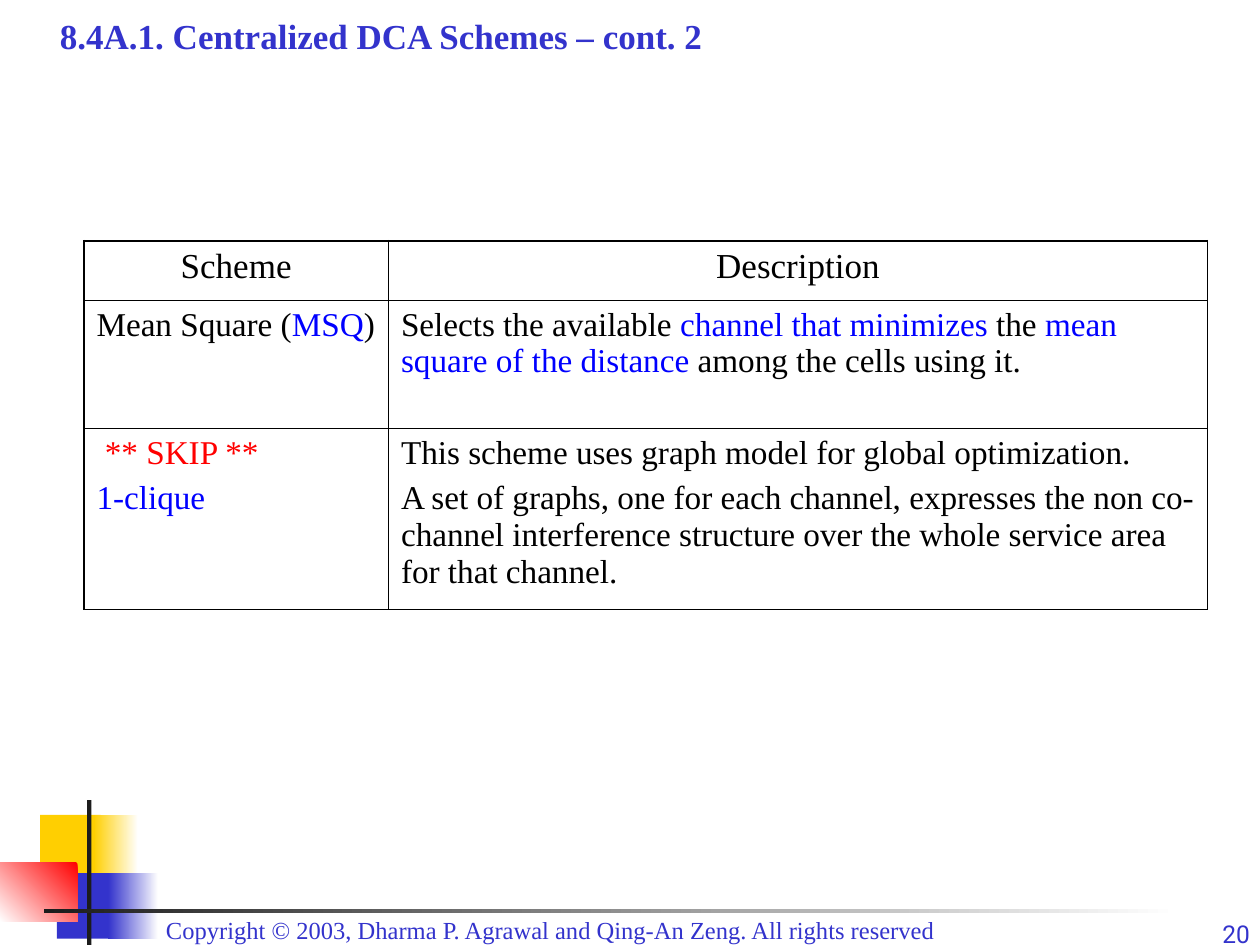
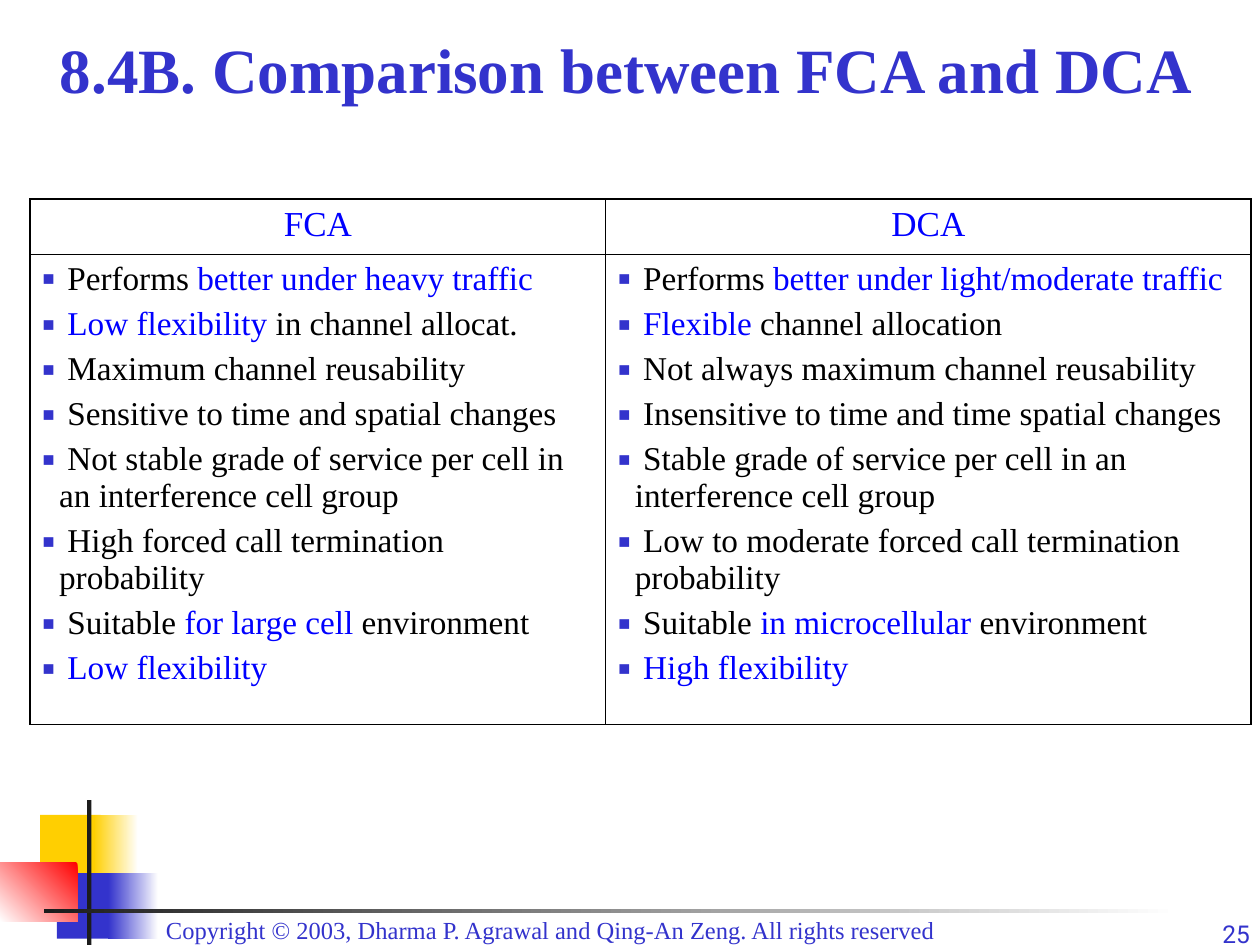
from lxml.etree import SubElement
from pptx import Presentation
from pptx.dml.color import RGBColor
from pptx.enum.shapes import MSO_SHAPE
from pptx.enum.text import MSO_ANCHOR, MSO_AUTO_SIZE, PP_ALIGN
from pptx.oxml.ns import qn
from pptx.util import Pt

# Shared look
SERIF, SANS = "Times New Roman", "Roboto"
BLACK, WHITE, INK = "000000", "FFFFFF", "1C1C1C"
INDIGO, BLUE, RED, YELLOW = "3333CC", "0000FF", "FF0000", "FFCF01"
OUTER, INNER = 1.08, 0.45
INSETS = dict(margin_left=Pt(7.2), margin_right=Pt(7.2),
              margin_top=Pt(3.6), margin_bottom=Pt(3.6))
COPYRIGHT = ("Copyright © 2003, Dharma P. Agrawal and Qing-An Zeng. "
             "All rights reserved")


def colour(hex_value):
    return RGBColor.from_string(hex_value)


def apply(target, values):
    for name, value in values.items():
        setattr(target, name, value)


def place(shape, left, top, width, height):
    apply(shape, dict(left=Pt(left), top=Pt(top), width=Pt(width), height=Pt(height)))


def write_run(paragraph, text, size, hex_value, face=SERIF, bold=False):
    run = paragraph.add_run()
    run.text = text
    apply(run.font, dict(size=Pt(size), name=face, bold=bold))
    run.font.color.rgb = colour(hex_value)


# Corner blocks and the crossed bars
def block(slide, box, start, end=None, angle=180):
    left, top, width, height = map(Pt, box)
    tile = slide.shapes.add_shape(MSO_SHAPE.RECTANGLE, left, top, width, height)
    tile.shadow.inherit = False
    tile.line.fill.background()
    if end is None:
        tile.fill.solid()
        tile.fill.fore_color.rgb = colour(start)
        return
    tile.fill.gradient()
    tile.fill.gradient_angle = angle
    for stop, hex_value, position in zip(tile.fill.gradient_stops, (start, end), (0, 1)):
        stop.color.rgb = colour(hex_value)
        stop.position = position


def corner(slide, left, top):
    parts = [
        ((23, 8.5, 34.5, 37.5), YELLOW),
        ((53.5, 8.5, 25.5, 37.5), WHITE, YELLOW),
        ((32.5, 41.7, 33, 37.5), INDIGO),
        ((62, 41.7, 28.5, 37.5), WHITE, INDIGO),
        ((0, 35.7, 44.3, 33.7), RED, WHITE, 225),
        ((49.8, 0, 2.5, 82.8), INK),
        ((25.2, 62.2, 648, 2.2), WHITE, INK),
    ]
    for (x, y, width, height), *fill in parts:
        block(slide, (left + x, top + y, width, height), *fill)


# Footer line
def footer_text(slide, box, text, face, align, insets):
    note = slide.shapes.add_textbox(*map(Pt, box))
    apply(note.text_frame, {**INSETS, **insets, "word_wrap": True})
    paragraph = note.text_frame.paragraphs[0]
    paragraph.alignment = align
    write_run(paragraph, text, 14, INDIGO, face)


def footer(slide, left, top, number):
    footer_text(slide, (left, top, 546, 24.5), COPYRIGHT, SERIF, PP_ALIGN.LEFT, {})
    footer_text(slide, (left + 576, top + 5.8, 57.6, 19.4), number, SANS,
                PP_ALIGN.RIGHT, dict(margin_top=0, margin_bottom=0))


def heading(slide, box, text, size, align):
    title = slide.shapes.title
    place(title, *box)
    apply(title.text_frame, dict(INSETS, word_wrap=True, auto_size=MSO_AUTO_SIZE.NONE,
                                 vertical_anchor=MSO_ANCHOR.BOTTOM))
    paragraph = title.text_frame.paragraphs[0]
    paragraph.alignment = align
    write_run(paragraph, text, size, INDIGO, bold=True)


# Table parts
def add_bullet(paragraph):
    props = paragraph._p.get_or_add_pPr()
    props.set("marL", str(Pt(9.4)))
    props.set("indent", str(-Pt(9.4)))
    SubElement(SubElement(props, qn("a:buClr")), qn("a:srgbClr"), val=INDIGO)
    SubElement(props, qn("a:buSzPct"), val="60000")
    SubElement(props, qn("a:buFont"), typeface=SERIF)
    SubElement(props, qn("a:buChar"), char="■")


def add_borders(cell, outer_sides):
    props = cell._tc.get_or_add_tcPr()
    for side in "LRTB":
        width = OUTER if side in outer_sides else INNER
        line = SubElement(props, qn("a:ln" + side), w=str(Pt(width)))
        SubElement(SubElement(line, qn("a:solidFill")), qn("a:srgbClr"), val=BLACK)


def fill_cell(cell, paragraphs, is_header, bulleted):
    apply(cell, INSETS)
    for index, runs in enumerate(paragraphs):
        frame = cell.text_frame
        paragraph = frame.add_paragraph() if index else frame.paragraphs[0]
        if index:
            paragraph.space_before = Pt(4.8)
        paragraph.alignment = PP_ALIGN.CENTER if is_header else PP_ALIGN.LEFT
        if bulleted and not is_header:
            add_bullet(paragraph)
            runs = [" ", *runs]
        for run in runs:
            text, hex_value = (run, BLACK) if isinstance(run, str) else run
            write_run(paragraph, text, 20 if is_header else 19, hex_value)


def scheme_table(slide, left, top, widths, heights, rows, bulleted=False):
    frame = slide.shapes.add_table(len(heights), len(widths), Pt(left), Pt(top),
                                   Pt(sum(widths)), Pt(sum(heights)))
    table = frame.table
    apply(table, dict(first_row=False, horz_banding=False))
    for column, width in zip(table.columns, widths):
        column.width = Pt(width)
    for row, height in zip(table.rows, heights):
        row.height = Pt(height)
    for r, row in enumerate(rows):
        for c, paragraphs in enumerate(row):
            cell = table.cell(r, c)
            edges = {"T": r == 0, "B": r == len(rows) - 1,
                     "L": c == 0, "R": c == len(row) - 1}
            add_borders(cell, [side for side, outer in edges.items() if outer])
            cell.fill.background()
            fill_cell(cell, paragraphs, r == 0, bulleted)


def new_slide(deck, number):
    slide = deck.slides.add_slide(deck.slide_layouts[5])
    slide.background.fill.solid()
    slide.background.fill.fore_color.rgb = colour(WHITE)
    corner(slide, 0, 457.2)
    footer(slide, 87.8, 519.1, number)
    return slide


# Content: a cell is a list of paragraphs, a paragraph a list of runs
CENTRALIZED = [
    [[["Scheme"]], [["Description"]]],
    [[["Mean Square (", ("MSQ", BLUE), ")"]],
     [["Selects the available ", ("channel that minimizes", BLUE), " the ",
       ("mean square of the distance", BLUE), " among the cells using it."]]],
    [[[(" ** SKIP **", RED)], [("1-clique", BLUE)]],
     [["This scheme uses graph model for global optimization."],
      ["A set of graphs, one for each channel, expresses the non co-channel "
       "interference structure over the whole service area for that channel."]]],
]
COMPARISON = [
    [[[("FCA", BLUE)]], [[("DCA", BLUE)]]],
    [[["Performs ", ("better under heavy traffic", BLUE)],
      [("Low flexibility", BLUE), " in channel allocat."],
      ["Maximum channel reusability"],
      ["Sensitive to time and spatial changes"],
      ["Not stable grade of service per cell in an interference cell group"],
      ["High forced call termination probability"],
      ["Suitable ", ("for large cell", BLUE), " environment"],
      [("Low flexibility", BLUE)]],
     [["Performs ", ("better under light/moderate traffic", BLUE)],
      [("Flexible", BLUE), " channel allocation"],
      ["Not always maximum channel reusability"],
      ["Insensitive to time and time spatial changes"],
      ["Stable grade of service per cell in an interference cell group"],
      ["Low to moderate forced call termination probability"],
      ["Suitable ", ("in microcellular", BLUE), " environment"],
      [("High flexibility", BLUE)]]],
]


def main():
    deck = Presentation()
    apply(deck, dict(slide_width=Pt(720), slide_height=Pt(540)))

    centralized = new_slide(deck, "20")
    heading(centralized, (27, 7, 639, 29), "8.4A.1. Centralized DCA Schemes – cont. 2",
            20, PP_ALIGN.LEFT)
    scheme_table(centralized, 48, 137.6, (174, 468), (34, 73.3, 103.5), CENTRALIZED)

    comparison = new_slide(deck, "25")
    heading(comparison, (20, 12, 675.5, 52), "8.4B. Comparison between FCA and DCA",
            36, PP_ALIGN.CENTER)
    scheme_table(comparison, 17.2, 113.8, (329, 368.6), (31.6, 268.5), COMPARISON,
                 bulleted=True)

    deck.save("out.pptx")


if __name__ == "__main__":
    main()
